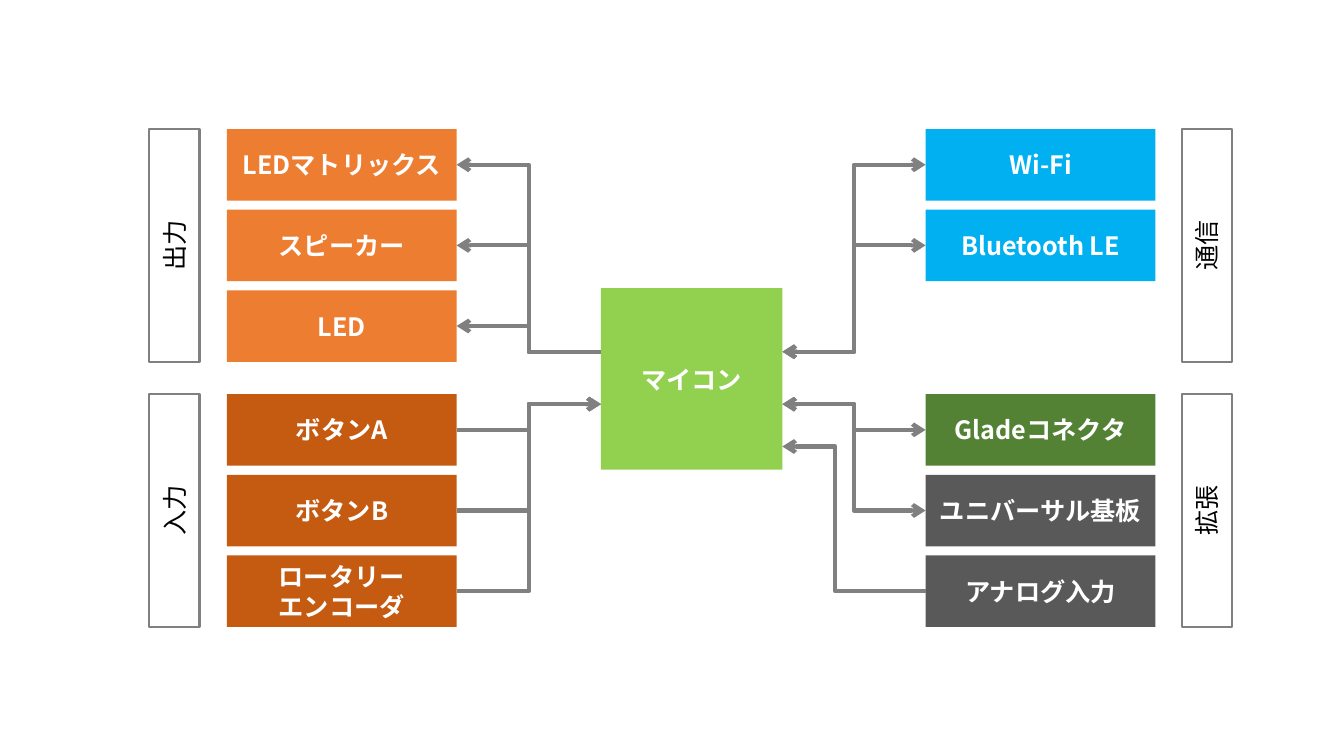
"""Block diagram of a microcontroller with its outputs, inputs, links and extensions."""
import lxml.etree
import pptx
import pptx.dml.color
import pptx.enum.shapes
import pptx.enum.text
import pptx.oxml.ns
import pptx.util
from pptx.util import Inches


class Theme:
    font = "Noto Sans CJK JP"
    text_size = pptx.util.Pt(18)
    frame_width = pptx.util.Pt(1.5)
    wire_width = pptx.util.Pt(3)
    light_text = "FFFFFF"
    dark_text = "000000"
    wire = "808080"
    output = "ED7D31"
    input = "C55A11"
    controller = "92D050"
    network = "00B0F0"
    connector = "548235"
    board = "595959"


def add_box(left, top, width, height, lines, fill=None):
    """Add a filled block, or an outlined box with upward text when there is no fill."""
    shape = slide.shapes.add_shape(
        pptx.enum.shapes.MSO_SHAPE.RECTANGLE,
        Inches(left), Inches(top), Inches(width), Inches(height))
    shape.shadow.inherit = False
    frame = shape.text_frame
    frame.vertical_anchor = pptx.enum.text.MSO_ANCHOR.MIDDLE
    frame.word_wrap = fill is not None
    if fill:
        shape.fill.solid()
        shape.fill.fore_color.rgb = pptx.dml.color.RGBColor.from_string(fill)
        shape.line.fill.background()
    else:
        shape.fill.background()
        shape.line.color.rgb = pptx.dml.color.RGBColor.from_string(Theme.wire)
        shape.line.width = Theme.frame_width
        frame._txBody.bodyPr.set("vert", "vert270")
    for index, line in enumerate(lines):
        paragraph = frame.add_paragraph() if index else frame.paragraphs[0]
        paragraph.alignment = pptx.enum.text.PP_ALIGN.CENTER
        run = paragraph.add_run()
        run.text = line
        run.font.size = Theme.text_size
        run.font.bold = fill is not None
        run.font.name = Theme.font
        run.font.color.rgb = pptx.dml.color.RGBColor.from_string(
            Theme.light_text if fill else Theme.dark_text)
        east_asian = lxml.etree.SubElement(run.font._element, pptx.oxml.ns.qn("a:ea"))
        east_asian.set("typeface", Theme.font)


def add_wire(start, end, both_ways=False, bend=50000):
    """Add an elbow arrow that turns at the given share of its width."""
    wire = slide.shapes.add_connector(
        pptx.enum.shapes.MSO_CONNECTOR.ELBOW, *[Inches(value) for value in start + end])
    wire.line.color.rgb = pptx.dml.color.RGBColor.from_string(Theme.wire)
    wire.line.width = Theme.wire_width
    properties = wire._element.spPr
    line = properties.find(pptx.oxml.ns.qn("a:ln"))
    for tag in ["a:headEnd", "a:tailEnd"] if both_ways else ["a:tailEnd"]:
        lxml.etree.SubElement(line, pptx.oxml.ns.qn(tag)).set("type", "arrow")
    lxml.etree.SubElement(properties, pptx.oxml.ns.qn("a:effectLst"))
    adjustments = properties.find(".//" + pptx.oxml.ns.qn("a:avLst"))
    guide = lxml.etree.SubElement(adjustments, pptx.oxml.ns.qn("a:gd"))
    guide.set("name", "adj1")
    guide.set("fmla", f"val {bend}")


presentation = pptx.Presentation()
presentation.slide_width = Inches(13.33)
presentation.slide_height = Inches(7.5)
slide = presentation.slides.add_slide(presentation.slide_layouts[6])

block_width, block_height, row_pitch = 2.28, 0.71, 0.8
left_column, right_column = 2.25, 9.18
upper_top, lower_top = 1.28, 3.91
label_width, label_height = 0.5, 2.31
left_label, right_label = 1.48, 11.72
controller_left, controller_top, controller_size = 5.96, 2.86, 1.8

groups = [
    (left_label, left_column, upper_top, "出力",
     [(["LEDマトリックス"], Theme.output), (["スピーカー"], Theme.output),
      (["LED"], Theme.output)]),
    (left_label, left_column, lower_top, "入力",
     [(["ボタンA"], Theme.input), (["ボタンB"], Theme.input),
      (["ロータリー", "エンコーダ"], Theme.input)]),
    (right_label, right_column, upper_top, "通信",
     [(["Wi-Fi"], Theme.network), (["Bluetooth LE"], Theme.network)]),
    (right_label, right_column, lower_top, "拡張",
     [(["Gladeコネクタ"], Theme.connector), (["ユニバーサル基板"], Theme.board),
      (["アナログ入力"], Theme.board)]),
]
for label_left, column, top, label, blocks in groups:
    add_box(label_left, top, label_width, label_height, [label])
    for row, (lines, fill) in enumerate(blocks):
        add_box(column, top + row * row_pitch, block_width, block_height, lines, fill)
add_box(controller_left, controller_top, controller_size, controller_size,
        ["マイコン"], Theme.controller)

blocks_edge = left_column + block_width
controller_right = controller_left + controller_size
upper_port, lower_port, analog_port = 3.49, 4.01, 4.43
upper_rows, lower_rows = [
    [top + block_height / 2 + row * row_pitch for row in range(3)]
    for top in (upper_top, lower_top)]

for middle in upper_rows:
    add_wire((controller_left, upper_port), (blocks_edge, middle))
for middle in lower_rows:
    add_wire((blocks_edge, middle), (controller_left, lower_port))
for port, rows in [(upper_port, upper_rows), (lower_port, lower_rows)]:
    for middle in rows[:2]:
        add_wire((controller_right, port), (right_column, middle), both_ways=True)
add_wire((right_column, lower_rows[2]), (controller_right, analog_port), bend=63100)

presentation.save("out.pptx")
